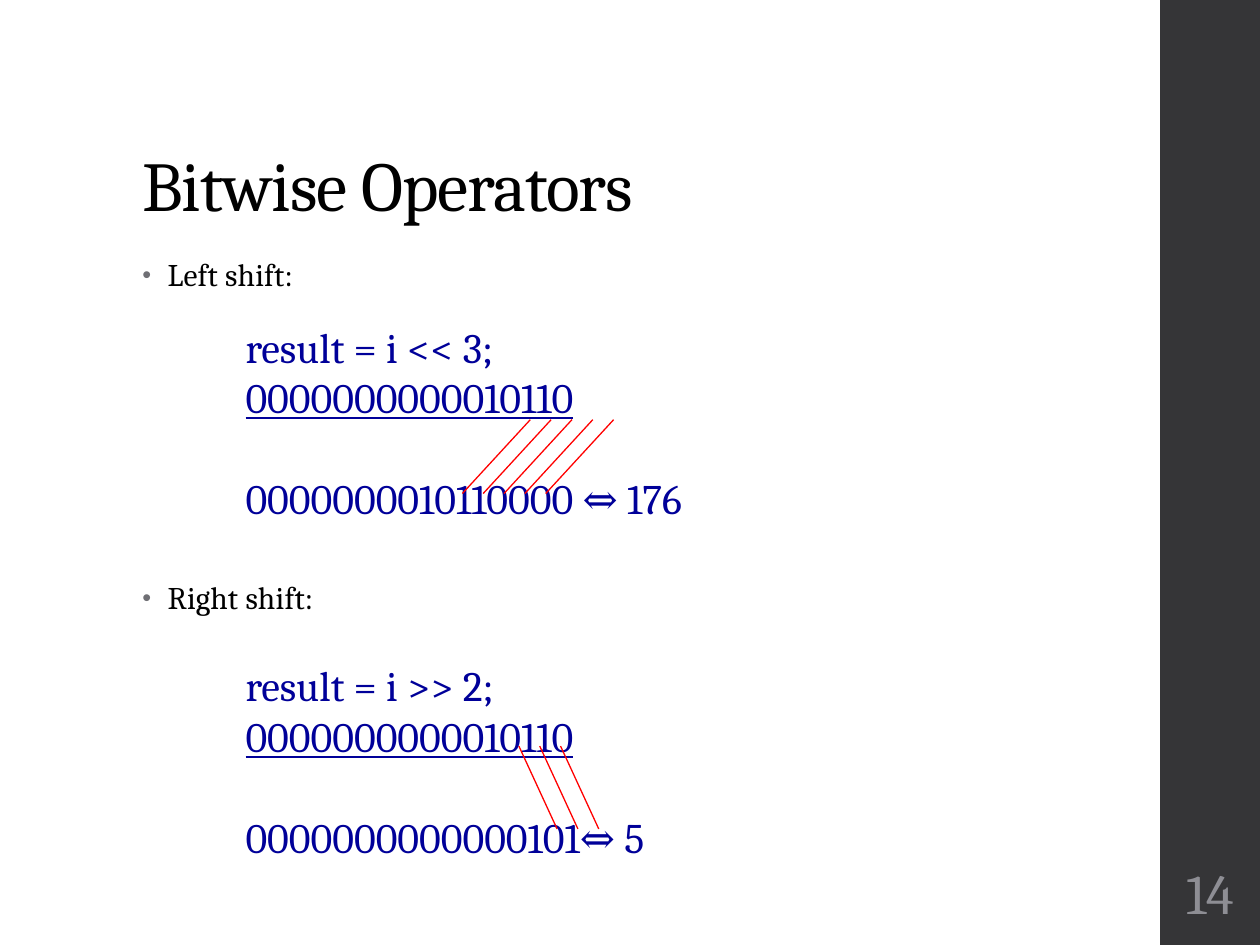
from lxml import etree
from pptx import Presentation
from pptx.dml.color import RGBColor
from pptx.enum.shapes import MSO_CONNECTOR, MSO_SHAPE
from pptx.enum.text import MSO_ANCHOR, PP_ALIGN
from pptx.oxml.ns import qn
from pptx.util import Cm, Pt

STRAIGHT, RECTANGLE = MSO_CONNECTOR.STRAIGHT, MSO_SHAPE.RECTANGLE
TOP, MIDDLE, BOTTOM = MSO_ANCHOR.TOP, MSO_ANCHOR.MIDDLE, MSO_ANCHOR.BOTTOM
LEFT, CENTER = PP_ALIGN.LEFT, PP_ALIGN.CENTER

# Content
TITLE = "Bitwise Operators"
PAGE_NUMBER = "14"
BULLETS = ["Left shift:", "Right shift:"]
# Bit links: count, upper end and lower end of the leftmost one, in cm
SHIFTS = [
    {"top": 6.35,
     "code": ["result = i << 3;", "0000000000010110", "0000000010110000 ⇔ 176"],
     "links": (5, (10.69, 8.46), (9.32, 9.95))},
    {"top": 13.18,
     "code": ["result = i >> 2;", "0000000000010110", "0000000000000101⇔ 5"],
     "links": (3, (10.46, 15.04), (11.23, 16.71))},
]
OPERAND_ROW, RESULT_ROW = 1, 2

# Theme
THEME = {
    "font": "Cambria", "sidebar": "353537", "bullet": "6F6F74", "link": "FF0000",
    "title": {"size": 40, "color": "000000", "spacing": -50},
    "body": {"size": 18, "color": "000000", "spacing": 10},
    "code": {"size": 24, "color": "000099", "spacing": 0},
    "number": {"size": 32, "color": "8E8E94", "spacing": 0},
}
LINK_PITCH = 0.42
BULLET_GAP = Pt(162)
CODE_GAP = Pt(28.8)


def rgb(value):
    return RGBColor.from_string(value)


def apply(target, formats):
    for name, value in formats.items():
        setattr(target, name, value)


def add_text(slide, box, lines, style, anchor=TOP, align=LEFT, side_inset=0.25):
    """Add a text box and return its paragraphs."""
    frame = slide.shapes.add_textbox(*map(Cm, box)).text_frame
    apply(frame, {"word_wrap": True, "vertical_anchor": anchor,
                  "margin_left": Cm(side_inset), "margin_right": Cm(side_inset)})
    look = THEME[style]
    for index, line in enumerate(lines):
        paragraph = frame.add_paragraph() if index else frame.paragraphs[0]
        paragraph.alignment = align
        run = paragraph.add_run()
        run.text = line
        apply(run.font, {"name": THEME["font"], "size": Pt(look["size"])})
        run.font.color.rgb = rgb(look["color"])
        run.font._element.set("spc", str(look["spacing"]))
    return frame.paragraphs


def indent(paragraph, left, first=0):
    properties = paragraph._p.get_or_add_pPr()
    properties.set("marL", str(Cm(left)))
    properties.set("indent", str(Cm(first)))
    return properties


def add_bullet(paragraph):
    properties = indent(paragraph, 0.51, -0.51)
    color = etree.SubElement(properties, qn("a:buClr"))
    etree.SubElement(color, qn("a:srgbClr"), val=THEME["bullet"])
    etree.SubElement(properties, qn("a:buSzPct"), val="80000")
    etree.SubElement(properties, qn("a:buFont"), typeface="Arial")
    etree.SubElement(properties, qn("a:buChar"), char="•")


def add_links(slide, count, upper, lower):
    for index in range(count):
        shift = index * LINK_PITCH
        link = slide.shapes.add_connector(
            STRAIGHT, Cm(lower[0] + shift), Cm(lower[1]),
            Cm(upper[0] + shift), Cm(upper[1]))
        link.line.color.rgb = rgb(THEME["link"])
        link.line.width = Pt(0.75)
        etree.SubElement(link._element.spPr, qn("a:effectLst"))


def main():
    deck = Presentation()
    apply(deck, {"slide_width": Cm(25.4), "slide_height": Cm(19.05)})
    slide = deck.slides.add_slide(deck.slide_layouts[6])

    # Sidebar with page number
    sidebar = slide.shapes.add_shape(
        RECTANGLE, Cm(23.39), 0, Cm(2.01), deck.slide_height)
    sidebar.shadow.inherit = False
    sidebar.fill.solid()
    sidebar.fill.fore_color.rgb = rgb(THEME["sidebar"])
    sidebar.line.fill.background()
    add_text(slide, (23.44, 17.15, 1.91, 1.65), [PAGE_NUMBER], "number",
             MIDDLE, CENTER, 0.08)

    # Title
    heading, = add_text(slide, (2.62, 1.02, 20.19, 3.68), [TITLE], "title", BOTTOM)
    heading.line_spacing = 0.9

    # Bulleted headings
    bullets = add_text(slide, (2.62, 5.08, 17.91, 12.09), BULLETS, "body")
    for index, bullet in enumerate(bullets):
        apply(bullet, {"line_spacing": 0.95, "space_after": Pt(2),
                       "space_before": BULLET_GAP if index else Pt(0)})
        add_bullet(bullet)

    # Code examples with bit links
    for shift in SHIFTS:
        rows = add_text(slide, (4.65, shift["top"], 11, 4.37), shift["code"],
                        "code", side_inset=0)
        for row in rows:
            indent(row, 0.3)
        rows[OPERAND_ROW].runs[0].font.underline = True
        rows[RESULT_ROW].space_before = CODE_GAP
        add_links(slide, *shift["links"])

    deck.save("out.pptx")


if __name__ == "__main__":
    main()
